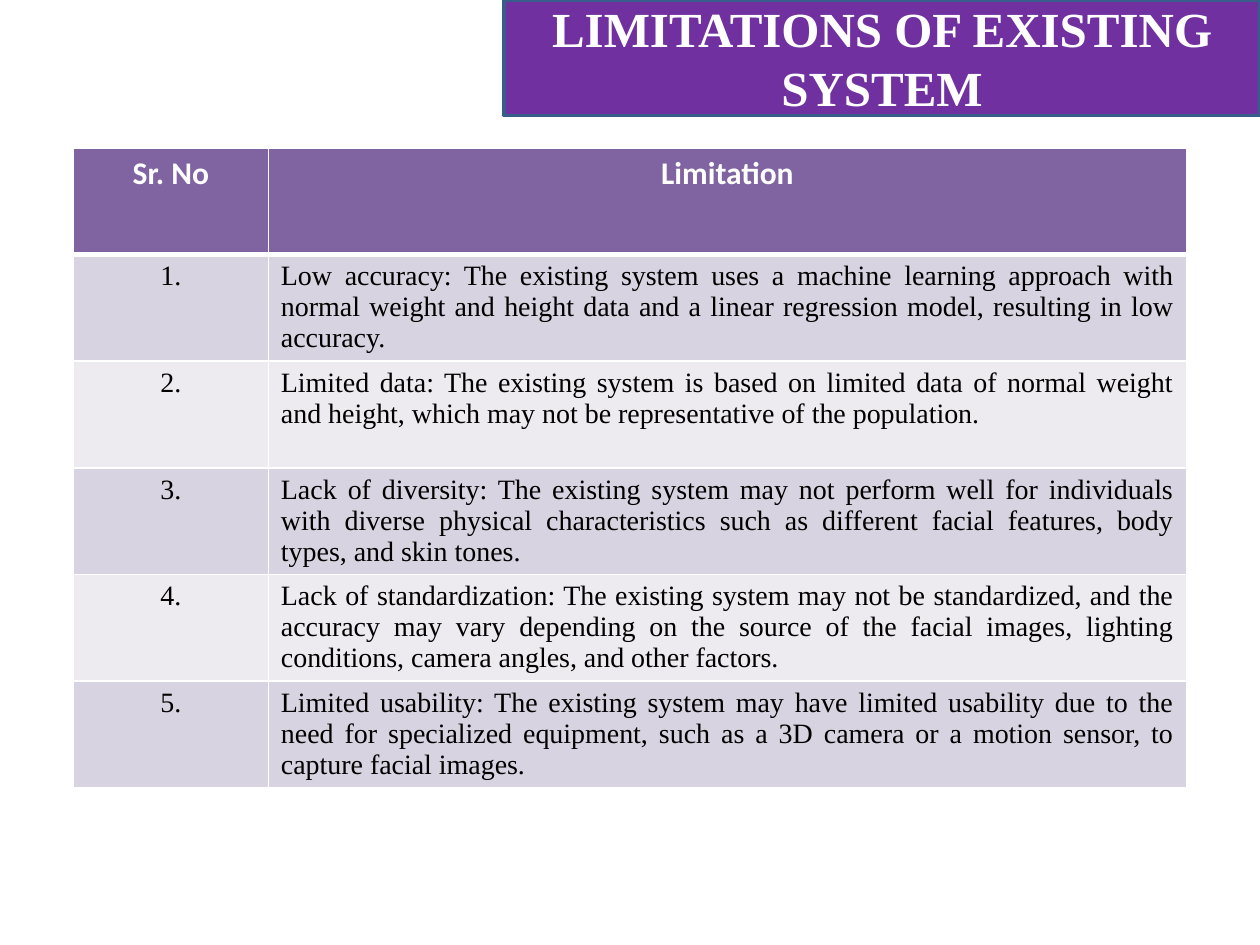
from dataclasses import dataclass

from lxml.etree import SubElement
from pptx import Presentation
from pptx.dml.color import RGBColor as RGB
from pptx.enum.text import MSO_ANCHOR as Anchor, MSO_AUTO_SIZE as AutoSize, PP_ALIGN as Align
from pptx.oxml.ns import qn
from pptx.util import Cm, Pt


@dataclass(frozen=True)
class Theme:
    """Colours, fonts and type sizes of the slide."""
    banner: str = "7030A0"
    outline: str = "385D8A"
    header: str = "8064A2"
    bands: tuple = ("D8D3E0", "EDEAF0")
    light: str = "FFFFFF"
    dark: str = "000000"
    serif: str = "Times New Roman"
    sans: str = "Calibri"
    title_size: int = 28
    header_size: int = 18
    body_size: int = 16


THEME = Theme()
HEADINGS = ("Sr. No", "Limitation")
LIMITATIONS = (
    "Low accuracy: The existing system uses a machine learning approach with normal weight "
    "and height data and a linear regression model, resulting in low accuracy.",
    "Limited data: The existing system is based on limited data of normal weight and height, "
    "which may not be representative of the population.",
    "Lack of diversity: The existing system may not perform well for individuals with diverse "
    "physical characteristics such as different facial features, body types, and skin tones.",
    "Lack of standardization: The existing system may not be standardized, and the accuracy "
    "may vary depending on the source of the facial images, lighting conditions, camera "
    "angles, and other factors.",
    "Limited usability: The existing system may have limited usability due to the need for "
    "specialized equipment, such as a 3D camera or a motion sensor, to capture facial images.",
)


def write(tf, text, font, size, color, bold, align):
    """Set one formatted paragraph in a text frame."""
    tf.text = text
    p = tf.paragraphs[0]
    p.alignment = align
    f = p.runs[0].font
    f.name, f.size, f.bold = font, Pt(size), bold
    f.color.rgb = RGB.from_string(color)


def set_borders(cell, color, **widths):
    """Draw cell borders, with widths in points keyed by side."""
    tcPr = cell._tc.get_or_add_tcPr()
    for i, side in enumerate("LRTB"):
        ln = SubElement(tcPr, qn(f"a:ln{side}"), w=str(Pt(widths.get(side, 1))))
        fill = SubElement(ln, qn("a:solidFill"))
        SubElement(fill, qn("a:srgbClr"), val=color)
        tcPr.insert(i, ln)


def add_banner(s, text, left, top, width, height):
    """Turn the title placeholder into a filled banner."""
    sp = s.shapes.title
    sp.left, sp.top, sp.width, sp.height = left, top, width, height
    sp.fill.solid()
    sp.fill.fore_color.rgb = RGB.from_string(THEME.banner)
    sp.line.color.rgb = RGB.from_string(THEME.outline)
    sp.line.width = Pt(2)
    tf = sp.text_frame
    tf.word_wrap, tf.auto_size = True, AutoSize.NONE
    tf.vertical_anchor = Anchor.MIDDLE
    write(tf, text, THEME.serif, THEME.title_size, THEME.light, True, Align.CENTER)


def add_limitations(s, left, top, width, height, number_width):
    """Add the numbered table of limitations."""
    rows = [HEADINGS] + [(f"{n}.", text) for n, text in enumerate(LIMITATIONS, 1)]
    table = s.shapes.add_table(len(rows), 2, left, top, width, height).table
    table.columns[0].width = number_width
    table.columns[1].width = width - number_width
    for r, row in enumerate(rows):
        for c, text in enumerate(row):
            cell = table.cell(r, c)
            cell.fill.solid()
            if r == 0:
                color = THEME.header
                style = (THEME.sans, THEME.header_size, THEME.light, True, Align.CENTER)
            else:
                color = THEME.bands[(r - 1) % 2]
                align = Align.JUSTIFY if c else Align.CENTER
                style = (THEME.serif, THEME.body_size, THEME.dark, False, align)
            cell.fill.fore_color.rgb = RGB.from_string(color)
            write(cell.text_frame, text, *style)
            set_borders(cell, THEME.light, T=3 if r == 1 else 1, B=3 if r == 0 else 1)


def main():
    """Build and save the slide."""
    prs = Presentation()
    prs.slide_width, prs.slide_height = Cm(25.4), Cm(19.05)
    s = prs.slides.add_slide(prs.slide_layouts[5])
    add_banner(s, "LIMITATIONS OF EXISTING SYSTEM", Cm(10.16), Cm(0), Cm(15.24), Cm(2.33))
    add_limitations(s, Cm(1.48), Cm(2.98), Cm(22.44), Cm(12.9), Cm(3.93))
    prs.save("out.pptx")


if __name__ == "__main__":
    main()
